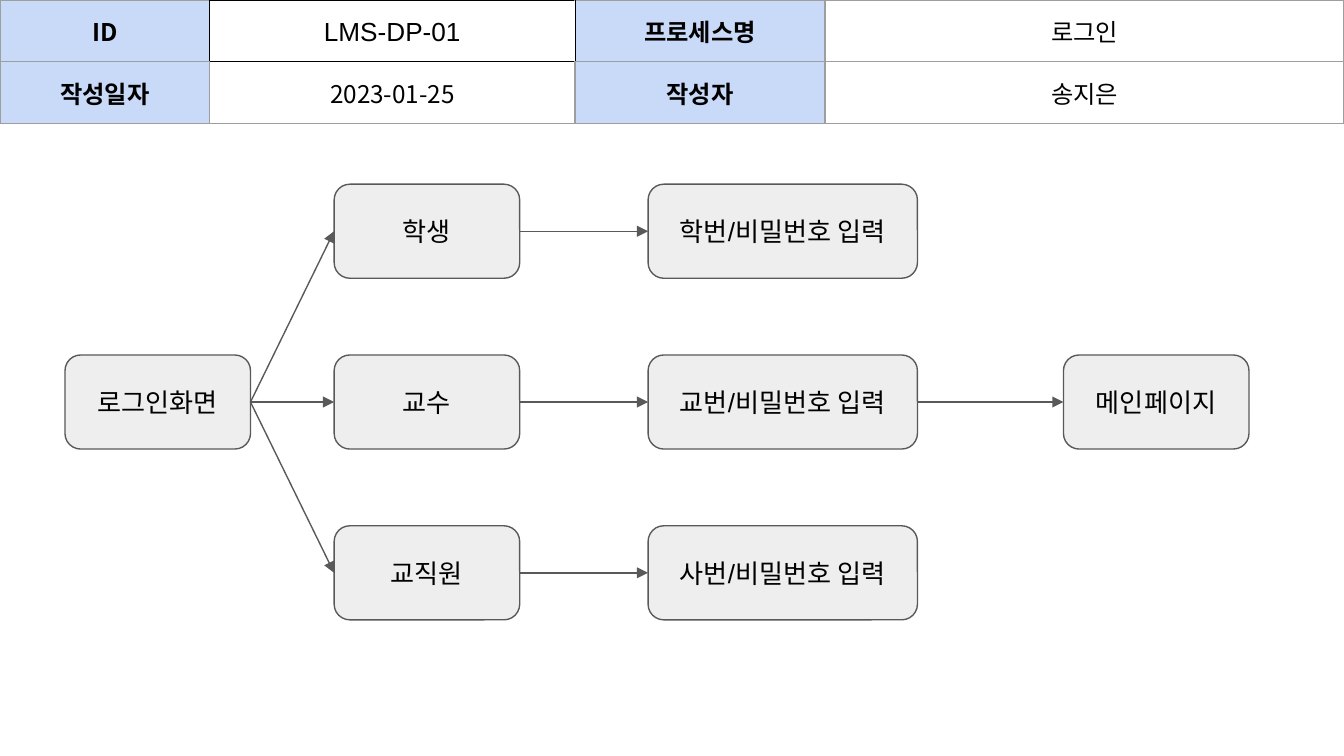
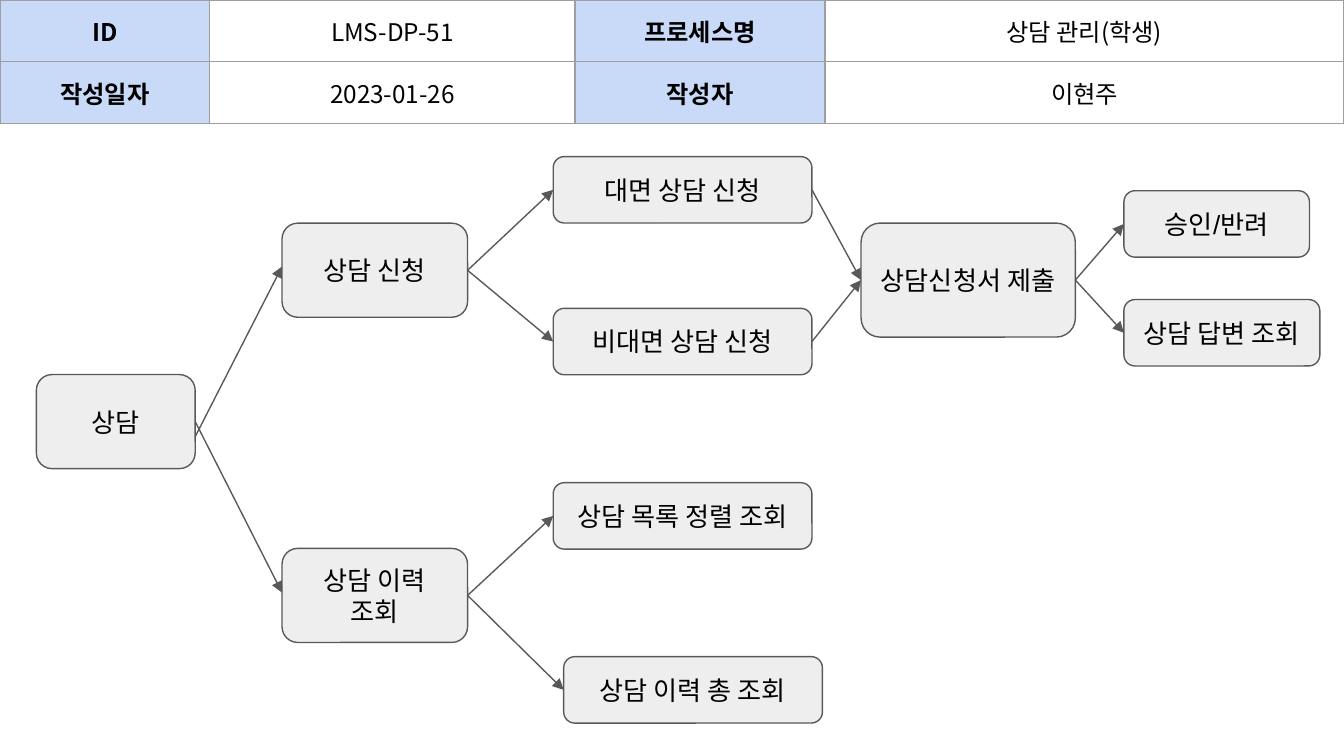
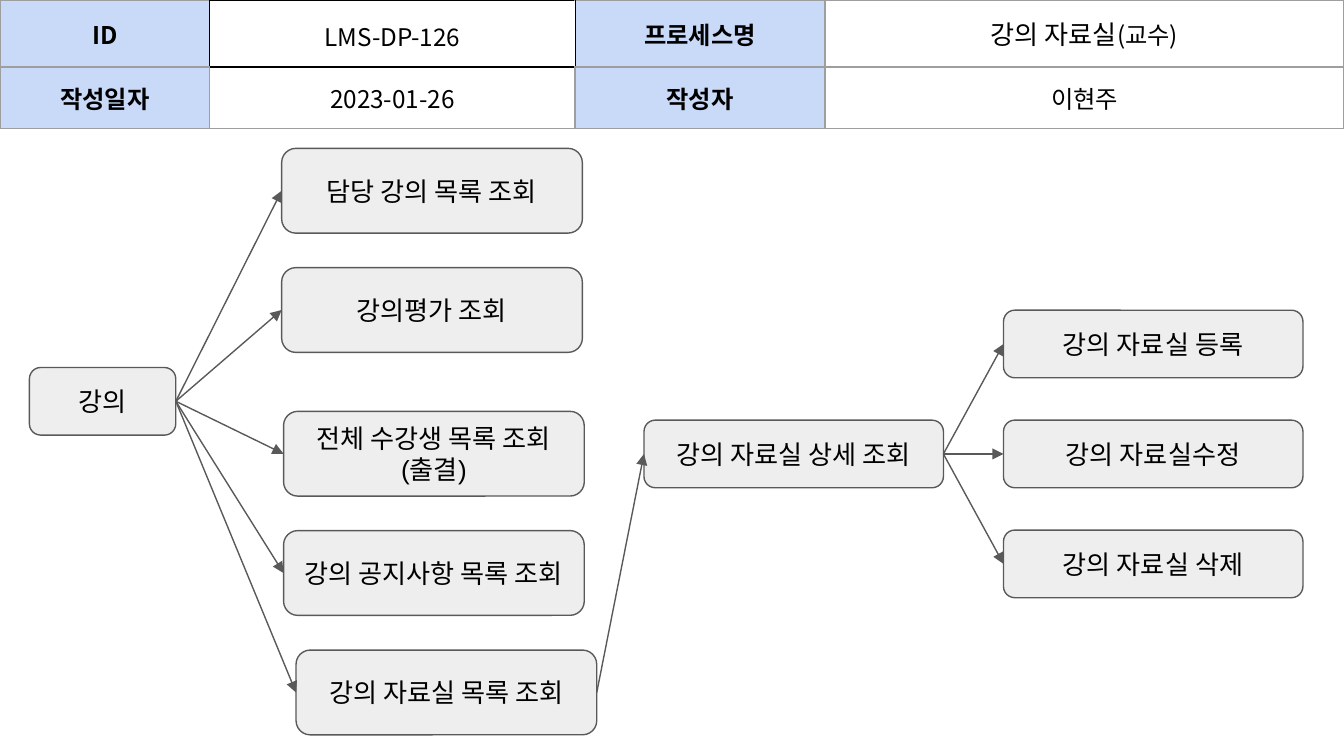
from dataclasses import dataclass, field

from lxml.etree import SubElement
from pptx import Presentation
from pptx.dml.color import RGBColor
from pptx.enum.shapes import MSO_CONNECTOR, MSO_SHAPE
from pptx.enum.text import MSO_ANCHOR, PP_ALIGN
from pptx.oxml import parse_xml
from pptx.oxml.ns import nsdecls, qn
from pptx.slide import Slide
from pptx.table import _Cell
from pptx.text.text import Font
from pptx.util import Pt


@dataclass(frozen=True)
class Type:
    name: str
    size: float
    bold: bool = False


@dataclass(frozen=True)
class Border:
    color: str
    width: float


@dataclass(frozen=True)
class Theme:
    label_fill: str = "C9DAF8"
    paper: str = "FFFFFF"
    node_fill: str = "EEEEEE"
    line: str = "595959"
    text: str = "000000"
    line_width: float = 0.75
    inset: float = 7.2
    label: Type = Type("Noto Sans CJK KR", 13, True)
    value: Type = Type("Noto Sans CJK KR", 13)
    node: Type = Type("Arial", 14)
    grid: Border = Border("9E9E9E", 0.75)
    frame: Border = Border("000000", 0.68)


THEME = Theme()
COLUMNS = (112.3, 195.8, 133.9, 65.5, 80.6, 131.9)
ROWS = (30.2, 31)
LEFT_SITE, RIGHT_SITE = 1, 3


@dataclass(frozen=True)
class Run:
    text: str
    type: Type = THEME.value


@dataclass(frozen=True)
class Header:
    id: Run
    name: tuple[Run, ...]
    date: str
    author: str
    framed_id: bool = False


@dataclass(frozen=True)
class Node:
    text: str
    left: float
    top: float
    width: float
    height: float

    @property
    def right(self) -> float:
        return self.left + self.width

    @property
    def middle(self) -> float:
        return self.top + self.height / 2


@dataclass(frozen=True)
class Link:
    source: str
    target: str
    source_shift: float = 0
    target_shift: float = 0


@dataclass(frozen=True)
class Process:
    header: Header
    nodes: list[Node]
    links: list[Link] = field(default_factory=list)


def stack(left: float, top: float, width: float, height: float,
          *texts: str, step: float = 0) -> list[Node]:
    return [Node(text, left, top + i * step, width, height)
            for i, text in enumerate(texts)]


def fan(source: str, *targets: str) -> list[Link]:
    return [Link(source, target) for target in targets]


def set_font(font: Font, style: Type) -> None:
    font.name = style.name
    font.size = Pt(style.size)
    font.bold = style.bold
    font.color.rgb = RGBColor.from_string(THEME.text)


def set_borders(cell: _Cell, **changed: Border) -> None:
    tc_pr = cell._tc.get_or_add_tcPr()
    for i, side in enumerate("LRTB"):
        border = changed.get(side, THEME.grid)
        tc_pr.insert(i, parse_xml(
            f'<a:ln{side} {nsdecls("a")} w="{Pt(border.width)}"><a:solidFill>'
            f'<a:srgbClr val="{border.color}"/></a:solidFill></a:ln{side}>'))


def fill_cell(cell: _Cell, runs: tuple[Run, ...]) -> None:
    cell.vertical_anchor = MSO_ANCHOR.MIDDLE
    cell.margin_left = cell.margin_right = Pt(THEME.inset)
    cell.margin_top = cell.margin_bottom = Pt(THEME.inset)
    p = cell.text_frame.paragraphs[0]
    p.alignment = PP_ALIGN.CENTER
    for run in runs:
        r = p.add_run()
        r.text = run.text
        if len(runs) > 1:
            set_font(r.font, run.type)
    if len(runs) == 1:
        set_font(p.font, runs[0].type)


def draw_header(s: Slide, header: Header) -> None:
    table = s.shapes.add_table(len(ROWS), len(COLUMNS), 0, 0,
                               Pt(sum(COLUMNS)), Pt(sum(ROWS))).table
    table.first_row = table.horz_banding = False
    for column, width in zip(table.columns, COLUMNS):
        column.width = Pt(width)
    for row, height in zip(table.rows, ROWS):
        row.height = Pt(height)

    texts = (
        ((Run("ID", THEME.label),), (header.id,),
         (Run("프로세스명", THEME.label),), header.name),
        ((Run("작성일자", THEME.label),), (Run(header.date),),
         (Run("작성자", THEME.label),), (Run(header.author),)),
    )
    frame = THEME.frame
    framed = {
        (0, 0): {"R": frame},
        (0, 1): dict.fromkeys("LRTB", frame),
        (0, 2): {"L": frame},
        (1, 1): {"T": frame},
    } if header.framed_id else {}

    for i, row in enumerate(texts):
        table.cell(i, 3).merge(table.cell(i, 5))
        for j in range(len(COLUMNS)):
            cell = table.cell(i, j)
            if j < len(row):
                fill_cell(cell, row[j])
            if j in (0, 2):
                cell.fill.solid()
                cell.fill.fore_color.rgb = RGBColor.from_string(THEME.label_fill)
            else:
                cell.fill.background()
            set_borders(cell, **framed.get((i, j), {}))

    if header.framed_id:
        cell = table.cell(0, 1)
        cell.vertical_anchor = MSO_ANCHOR.TOP
        cell.text_frame.paragraphs[0].line_spacing = 1.15
        cell.fill.solid()
        cell.fill.fore_color.rgb = RGBColor.from_string(THEME.paper)


def draw_node(s: Slide, node: Node):
    sp = s.shapes.add_shape(MSO_SHAPE.ROUNDED_RECTANGLE, Pt(node.left),
                            Pt(node.top), Pt(node.width), Pt(node.height))
    sp.shadow.inherit = False
    sp.fill.solid()
    sp.fill.fore_color.rgb = RGBColor.from_string(THEME.node_fill)
    sp.line.color.rgb = RGBColor.from_string(THEME.line)
    sp.line.width = Pt(THEME.line_width)
    tf = sp.text_frame
    tf.word_wrap = True
    tf.vertical_anchor = MSO_ANCHOR.MIDDLE
    tf.margin_left = tf.margin_right = Pt(THEME.inset)
    tf.margin_top = tf.margin_bottom = Pt(THEME.inset)
    p = tf.paragraphs[0]
    p.alignment = PP_ALIGN.CENTER
    p.add_run().text = node.text
    set_font(p.font, THEME.node)
    return sp


def draw_link(s: Slide, link: Link, nodes: dict[str, Node], shapes: dict) -> None:
    source, target = nodes[link.source], nodes[link.target]
    cxn = s.shapes.add_connector(
        MSO_CONNECTOR.STRAIGHT,
        Pt(source.right), Pt(source.middle + link.source_shift),
        Pt(target.left), Pt(target.middle + link.target_shift))
    if not link.source_shift:
        cxn.begin_connect(shapes[link.source], RIGHT_SITE)
    if not link.target_shift:
        cxn.end_connect(shapes[link.target], LEFT_SITE)
    cxn.line.color.rgb = RGBColor.from_string(THEME.line)
    cxn.line.width = Pt(THEME.line_width)
    SubElement(cxn.line._get_or_add_ln(), qn("a:tailEnd"), type="triangle")
    SubElement(cxn._element.spPr, qn("a:effectLst"))


def draw_process(prs, process: Process) -> None:
    s = prs.slides.add_slide(prs.slide_layouts[6])
    draw_header(s, process.header)
    nodes = {node.text: node for node in process.nodes}
    shapes = {text: draw_node(s, node) for text, node in nodes.items()}
    for link in process.links:
        draw_link(s, link, nodes, shapes)


ROLES = ("학생", "교수", "교직원")
ENTRIES = tuple(f"{number}/비밀번호 입력" for number in ("학번", "교번", "사번"))
LOGIN = Process(
    Header(Run("LMS-DP-01", THEME.node), (Run("로그인"),), "2023-01-25", "송지은", True),
    [
        *stack(34.8, 190.2, 99.4, 50.4, "로그인화면"),
        *stack(179, 98.7, 99.4, 50.4, *ROLES, step=91.5),
        *stack(347.2, 98.7, 144.3, 50.4, *ENTRIES, step=91.5),
        *stack(569.7, 190.2, 99.4, 50.4, "메인페이지"),
    ],
    [
        *fan("로그인화면", *ROLES),
        *(Link(role, entry) for role, entry in zip(ROLES, ENTRIES)),
        Link(ENTRIES[1], "메인페이지"),
    ],
)

REQUESTS = ("대면 상담 신청", "비대면 상담 신청")
OUTCOMES = ("승인/반려", "상담 답변 조회")
COUNSELING = Process(
    Header(Run("LMS-DP-51"), (Run("상담 관리(학생)"),), "2023-01-26", "이현주"),
    [
        *stack(19.5, 200.7, 85.1, 50.4, "상담"),
        *stack(151.1, 119.6, 99.4, 50.4, "상담 신청", "상담 이력 조회", step=174.2),
        *stack(296.4, 83.9, 138.6, 35.6, *REQUESTS, step=81.3),
        *stack(296.4, 258.6, 138.6, 35.6, "상담 목록 정렬 조회"),
        *stack(302, 351.8, 138.6, 35.6, "상담 이력 총 조회"),
        *stack(461.3, 119.5, 114.8, 61.1, "상담신청서 제출"),
        *stack(602.1, 102.2, 99.4, 35.6, OUTCOMES[0]),
        *stack(602.1, 160.5, 105, 35.6, OUTCOMES[1]),
    ],
    [
        Link("상담", "상담 신청", 8, -2),
        Link("상담", "상담 이력 조회", 0, -1.5),
        *fan("상담 신청", *REQUESTS),
        *fan("상담 이력 조회", "상담 목록 정렬 조회", "상담 이력 총 조회"),
        *(Link(request, "상담신청서 제출") for request in REQUESTS),
        *fan("상담신청서 제출", *OUTCOMES),
    ],
)

OVERVIEWS = ("담당 강의 목록 조회", "강의평가 조회")
LISTS = ("전체 수강생 목록 조회(출결)", "강의 공지사항 목록 조회")
ARCHIVE, DETAIL = "강의 자료실 목록 조회", "강의 자료실 상세 조회"
ACTIONS = ("강의 자료실 등록", "강의 자료실수정", "강의 자료실 삭제")
LECTURES = Process(
    Header(Run("LMS-DP-126"), (Run("강의 자료실", THEME.node), Run("(교수)")),
           "2023-01-26", "이현주", True),
    [
        *stack(15.8, 196.9, 78.4, 36.2, "강의"),
        *stack(150.9, 79.5, 161.1, 45.4, *OVERVIEWS, step=63.9),
        *stack(151.9, 220.4, 161.1, 45.4, *LISTS, step=63.9),
        *stack(158.6, 348.3, 161.1, 45.4, ARCHIVE),
        *stack(345, 225.1, 160.4, 36.2, DETAIL),
        *stack(537.6, 166.2, 160.4, 36.2, *ACTIONS, step=58.9),
    ],
    [
        *fan("강의", *OVERVIEWS, *LISTS, ARCHIVE),
        Link(ARCHIVE, DETAIL),
        *fan(DETAIL, *ACTIONS),
    ],
)

prs = Presentation()
prs.slide_width, prs.slide_height = Pt(720), Pt(405)
for process in (LOGIN, COUNSELING, LECTURES):
    draw_process(prs, process)
prs.save("out.pptx")
